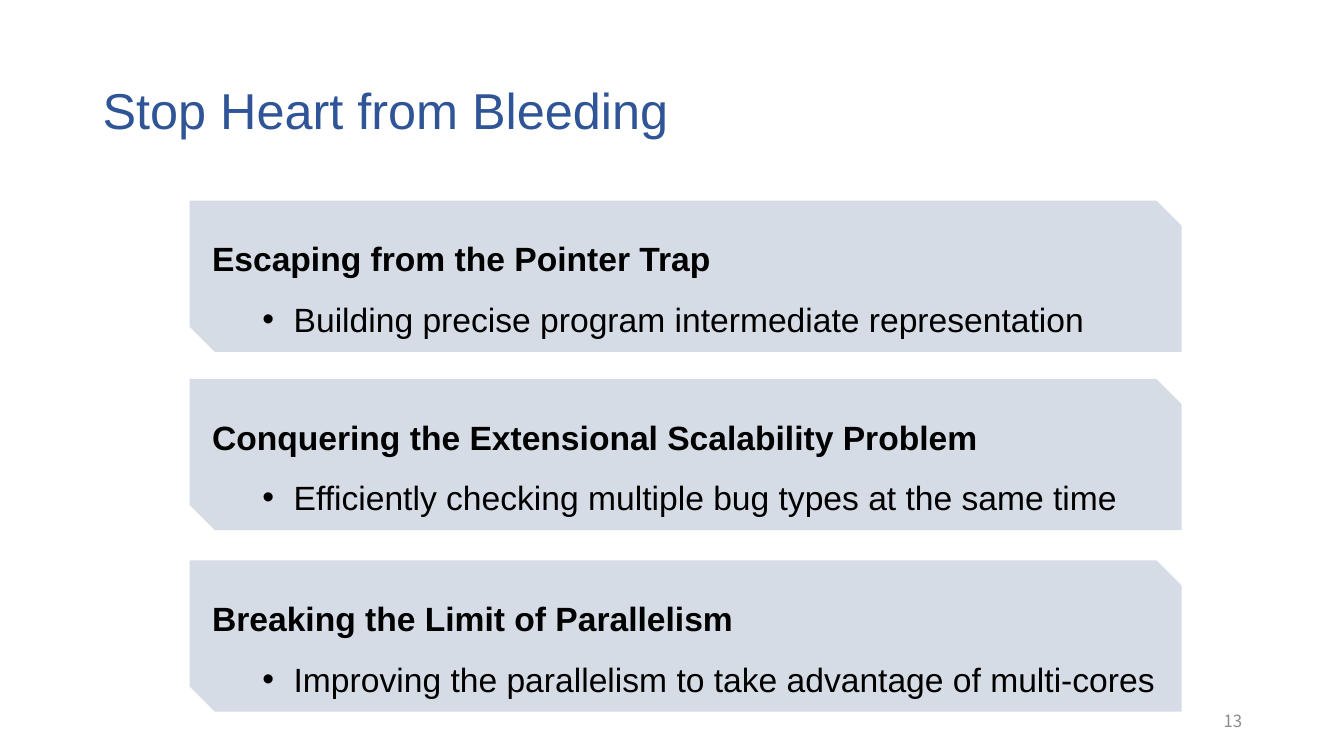
from dataclasses import dataclass

from lxml import etree
from pptx import Presentation
from pptx import util as u
from pptx.dml.color import RGBColor
from pptx.enum import shapes, text
from pptx.oxml.ns import qn


@dataclass(frozen=True)
class Theme:
    heading: RGBColor = RGBColor(0x2F, 0x55, 0x97)
    panel: RGBColor = RGBColor(0xD6, 0xDC, 0xE5)
    body: RGBColor = RGBColor(0, 0, 0)
    muted: RGBColor = RGBColor(0x8C, 0x8C, 0x8C)
    main_font: str = "Arial"
    number_font: str = "Noto Sans CJK SC"
    heading_size: int = 36
    body_size: int = 24
    number_size: int = 12


@dataclass(frozen=True)
class Goal:
    top: float
    name: str
    approach: str


THEME = Theme()
PANEL_LEFT, PANEL_WIDTH, PANEL_HEIGHT = 1.88, 9.84, 1.5
GOALS = [
    Goal(1.99, "Escaping from the Pointer Trap",
         "Building precise program intermediate representation"),
    Goal(3.76, "Conquering the Extensional Scalability Problem",
         "Efficiently checking multiple bug types at the same time"),
    Goal(5.56, "Breaking the Limit of Parallelism",
         "Improving the parallelism to take advantage of multi-cores"),
]


def style(paragraph, size: int, color: RGBColor, font: str = THEME.main_font,
          bold: bool = False) -> None:
    paragraph.font.name = font
    paragraph.font.size = u.Pt(size)
    paragraph.font.bold = bold
    paragraph.font.color.rgb = color


def add_bullet(paragraph, indent: float, hanging: float) -> None:
    properties = paragraph._p.get_or_add_pPr()
    properties.set("marL", str(u.Inches(indent)))
    properties.set("indent", str(-u.Inches(hanging)))
    etree.SubElement(properties, qn("a:buFont")).set("typeface", THEME.main_font)
    etree.SubElement(properties, qn("a:buChar")).set("char", "•")


def add_label(slide, words: str, left: float, top: float, width: float, height: float):
    """Add a vertically centred line of text and return its paragraph."""
    frame = slide.shapes.add_textbox(
        u.Inches(left), u.Inches(top), u.Inches(width), u.Inches(height)).text_frame
    frame.word_wrap = True
    frame.vertical_anchor = text.MSO_ANCHOR.MIDDLE
    paragraph = frame.paragraphs[0]
    paragraph.text = words
    return paragraph


def add_goal(slide, goal: Goal) -> None:
    panel = slide.shapes.add_shape(
        shapes.MSO_SHAPE.SNIP_2_DIAG_RECTANGLE, u.Inches(PANEL_LEFT),
        u.Inches(goal.top), u.Inches(PANEL_WIDTH), u.Inches(PANEL_HEIGHT))
    panel.shadow.inherit = False
    panel.fill.solid()
    panel.fill.fore_color.rgb = THEME.panel
    panel.line.fill.background()

    frame = panel.text_frame
    frame.word_wrap = True
    frame.vertical_anchor = text.MSO_ANCHOR.TOP
    frame.auto_size = text.MSO_AUTO_SIZE.SHAPE_TO_FIT_TEXT
    name, approach = frame.paragraphs[0], frame.add_paragraph()
    name.text, approach.text = goal.name, goal.approach
    approach.level = 1
    add_bullet(approach, indent=0.81, hanging=0.31)
    for paragraph in (name, approach):
        paragraph.alignment = text.PP_ALIGN.LEFT
        paragraph.line_spacing = 1.5
        style(paragraph, THEME.body_size, THEME.body, bold=paragraph is name)


def main() -> None:
    deck = Presentation()
    deck.slide_width, deck.slide_height = u.Inches(13.33), u.Inches(7.5)
    slide = deck.slides.add_slide(deck.slide_layouts[6])

    heading = add_label(slide, "Stop Heart from Bleeding", 0.92, 0.4, 11.5, 1.45)
    heading.line_spacing = 0.9
    style(heading, THEME.heading_size, THEME.heading)

    for goal in GOALS:
        add_goal(slide, goal)

    page_number = add_label(slide, "13", 9.42, 6.95, 3, 0.4)
    page_number.alignment = text.PP_ALIGN.RIGHT
    style(page_number, THEME.number_size, THEME.muted, THEME.number_font)

    deck.save("out.pptx")


if __name__ == "__main__":
    main()
